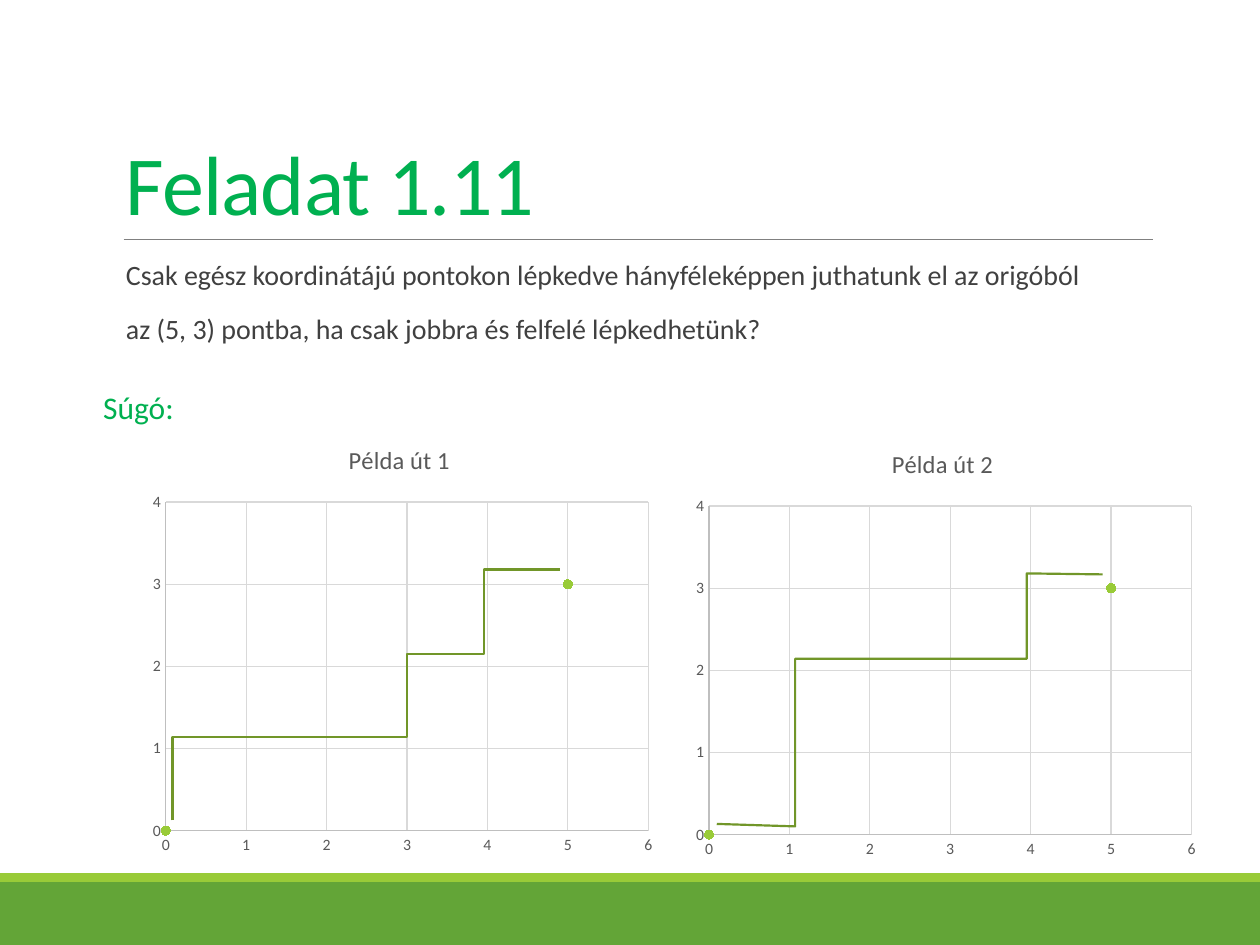
import pptx
import pptx.chart.data
import pptx.dml.color
import pptx.enum.chart
import pptx.enum.shapes
import pptx.enum.text
import pptx.oxml
import pptx.oxml.ns
import pptx.util
from dataclasses import dataclass

Cm = pptx.util.Cm
Pt = pptx.util.Pt


@dataclass(frozen=True)
class Theme:
    font: str = "Calibri"
    band: str = "63A537"
    accent: str = "99CB38"
    heading: str = "00B050"
    body: str = "404040"
    chart_text: str = "595959"
    axis: str = "BFBFBF"
    grid: str = "D9D9D9"
    rule: str = "808080"
    route: str = "719629"
    title_size: float = 48
    hint_size: float = 18
    body_size: float = 16
    chart_title_size: float = 14
    label_size: float = 9


def color(value):
    return pptx.dml.color.RGBColor.from_string(value)


class SlideBuilder:
    def __init__(self, deck, theme):
        self.theme = theme
        self.slide = deck.slides.add_slide(deck.slide_layouts[6])
        self.shapes = self.slide.shapes

    def style_font(self, font, size, tone):
        font.name = self.theme.font
        font.size = Pt(size)
        font.bold = False
        font.color.rgb = color(tone)

    def style_line(self, line, tone, width):
        line.color.rgb = color(tone)
        line.width = Pt(width)

    def band(self, top, height, tone):
        shape = self.shapes.add_shape(
            pptx.enum.shapes.MSO_SHAPE.RECTANGLE, 0, Cm(top), Cm(25.4), Cm(height))
        shape.shadow.inherit = False
        shape.fill.solid()
        shape.fill.fore_color.rgb = color(tone)
        shape.line.fill.background()

    def rule(self, left, right, top):
        line = self.shapes.add_connector(
            pptx.enum.shapes.MSO_CONNECTOR.STRAIGHT, Cm(left), Cm(top), Cm(right), Cm(top))
        self.style_line(line.line, self.theme.rule, 0.5)
        properties = line._element.spPr
        properties.append(pptx.oxml.parse_xml(
            "<a:effectLst %s/>" % pptx.oxml.ns.nsdecls("a")))

    def text(self, place, lines, size, tone, margins=(0.25, 0.13), spacing=1.0,
             before=0, after=0, bottom=False, wrap=True, tracking=0):
        box = self.shapes.add_textbox(*map(Cm, place))
        frame = box.text_frame
        frame.word_wrap = wrap
        frame.margin_left = frame.margin_right = Cm(margins[0])
        frame.margin_top = frame.margin_bottom = Cm(margins[1])
        if bottom:
            frame.vertical_anchor = pptx.enum.text.MSO_ANCHOR.BOTTOM
        for index, line in enumerate(lines):
            para = frame.add_paragraph() if index else frame.paragraphs[0]
            para.line_spacing = spacing
            para.space_before = Pt(before)
            para.space_after = Pt(after)
            span = para.add_run()
            span.text = line
            self.style_font(span.font, size, tone)
            if tracking:
                span.font._element.set("spc", str(int(tracking * 100)))

    def chart(self, left, top, title, points):
        data = pptx.chart.data.XyChartData()
        series = data.add_series("Series 1")
        for x, y in points:
            series.add_data_point(x, y)
        chart = self.shapes.add_chart(
            pptx.enum.chart.XL_CHART_TYPE.XY_SCATTER,
            Cm(left), Cm(top), Cm(10.46), Cm(8.84), data).chart
        self.style_font(chart.font, self.theme.label_size, self.theme.chart_text)
        chart.has_legend = False
        chart.has_title = True
        span = chart.chart_title.text_frame.paragraphs[0].add_run()
        span.text = title
        self.style_font(span.font, self.theme.chart_title_size, self.theme.chart_text)
        chart.chart_title.include_in_layout = False
        self.axis(chart.category_axis, 6)
        self.axis(chart.value_axis, 4)
        plot = chart.plots[0]
        plot.vary_by_categories = False
        dots = plot.series[0]
        dots.smooth = False
        dots.format.line.fill.background()
        dots.marker.style = pptx.enum.chart.XL_MARKER_STYLE.CIRCLE
        dots.marker.size = 5
        dots.marker.format.fill.solid()
        dots.marker.format.fill.fore_color.rgb = color(self.theme.accent)
        self.style_line(dots.marker.format.line, self.theme.accent, 0.75)
        self.fix_plot_area(chart, x=0.05, y=0.18, w=0.93, h=0.75)

    def axis(self, axis, maximum):
        axis.minimum_scale = 0
        axis.maximum_scale = maximum
        axis.major_unit = 1
        axis.major_tick_mark = axis.minor_tick_mark = pptx.enum.chart.XL_TICK_MARK.NONE
        axis.has_major_gridlines = True
        self.style_line(axis.major_gridlines.format.line, self.theme.grid, 0.75)
        self.style_line(axis.format.line, self.theme.axis, 0.75)
        self.style_font(axis.tick_labels.font, self.theme.label_size, self.theme.chart_text)
        axis.tick_labels.number_format = "General"
        axis.tick_labels.number_format_is_linked = False

    def fix_plot_area(self, chart, **sides):
        area = chart._chartSpace.chart.plotArea
        for old in area.findall(pptx.oxml.ns.qn("c:layout")):
            area.remove(old)
        modes = "".join('<c:%sMode val="edge"/>' % side for side in "xy")
        values = "".join('<c:%s val="%s"/>' % item for item in sides.items())
        area.insert(0, pptx.oxml.parse_xml(
            '<c:layout %s><c:manualLayout><c:layoutTarget val="inner"/>%s%s'
            "</c:manualLayout></c:layout>" % (pptx.oxml.ns.nsdecls("c"), modes, values)))

    def route(self, points):
        start, *rest = [(Cm(x), Cm(y)) for x, y in points]
        builder = self.shapes.build_freeform(*start)
        builder.add_line_segments(rest, close=False)
        shape = builder.convert_to_shape()
        shape.shadow.inherit = False
        shape.fill.background()
        self.style_line(shape.line, self.theme.route, 1.25)


def main():
    deck = pptx.Presentation()
    deck.slide_width, deck.slide_height = Cm(25.4), Cm(19.05)
    theme = Theme()
    page = SlideBuilder(deck, theme)

    page.band(17.78, 1.27, theme.band)
    page.band(17.6, 0.18, theme.accent)
    page.rule(2.49, 23.24, 4.82)
    page.text((2.29, 0.79, 20.95, 4.04), ["Feladat 1.11"], theme.title_size,
              theme.heading, spacing=0.85, bottom=True, tracking=-0.5)
    page.text((2.29, 5.13, 20.95, 11.18),
              ["Csak egész koordinátájú pontokon lépkedve hányféleképpen juthatunk el az origóból",
               "az (5, 3) pontba, ha csak jobbra és felfelé lépkedhetünk?"],
              theme.body_size, theme.body, spacing=0.9, before=12, after=2)

    endpoints = [(0, 0), (5, 3)]
    page.chart(2.82, 8.53, "Példa út 1", endpoints)
    page.chart(13.77, 8.61, "Példa út 2", endpoints)
    page.route([(14.45, 16.61), (16.03, 16.66), (16.03, 13.28),
                (20.7, 13.28), (20.7, 11.56), (22.23, 11.58)])
    page.route([(3.48, 16.54), (3.48, 14.86), (8.2, 14.86), (8.2, 13.18),
                (9.75, 13.18), (9.75, 11.48), (11.28, 11.48)])
    page.text((2.08, 7.82, 1.45, 0.76), ["Súgó:"], theme.hint_size,
              theme.heading, margins=(0, 0), wrap=False)

    deck.save("out.pptx")


if __name__ == "__main__":
    main()
